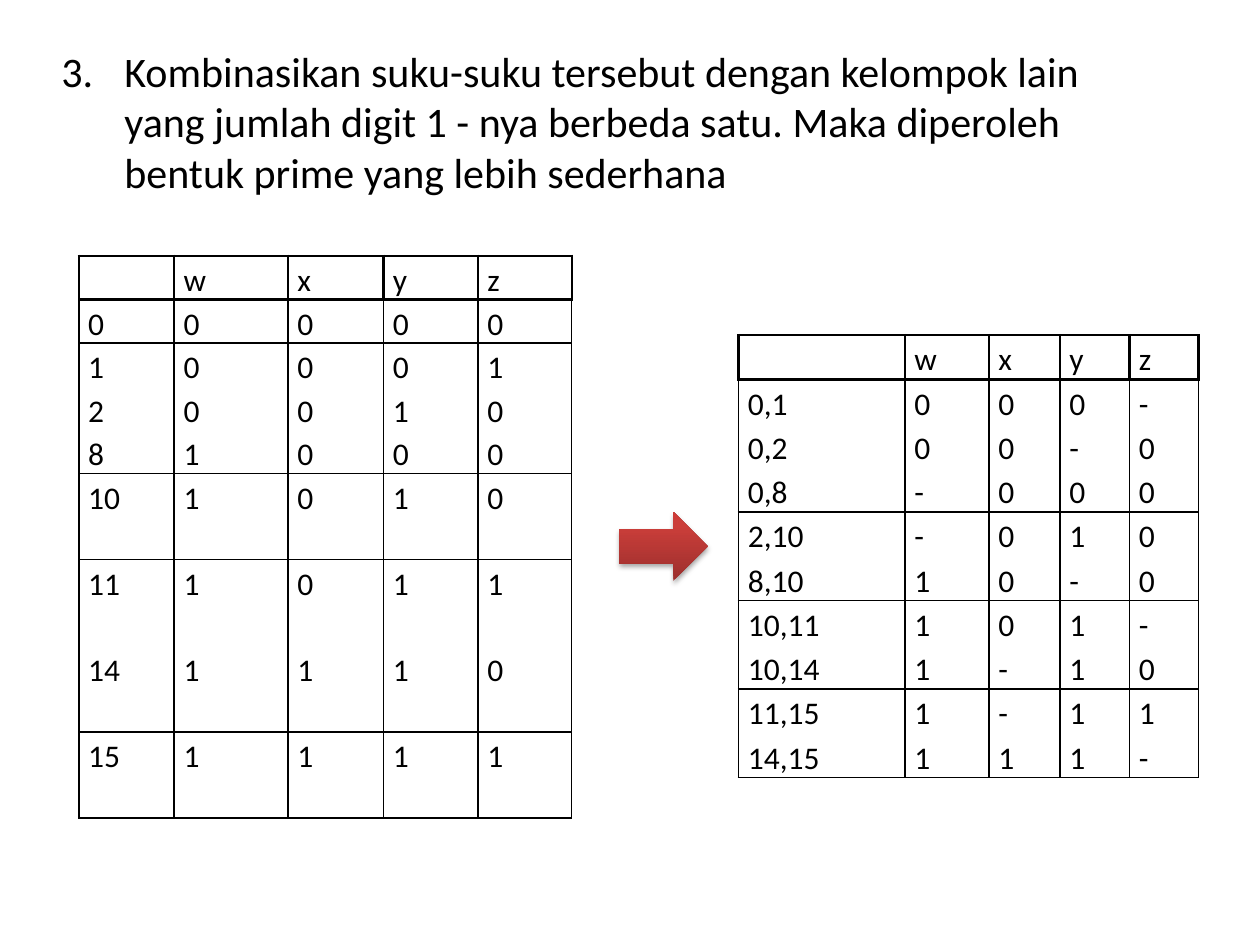
from lxml.etree import SubElement
from pptx import Presentation
from pptx.dml.color import RGBColor
from pptx.enum.shapes import MSO_SHAPE
from pptx.oxml.ns import qn
from pptx.util import Pt

TITLE = (
    "3.\tKombinasikan suku-suku tersebut dengan kelompok lain yang jumlah "
    "digit 1 - nya berbeda satu. Maka diperoleh bentuk prime yang lebih sederhana"
)
VARIABLES = ["", "w", "x", "y", "z"]
# Each inner list is one ruled group; a row is its minterms and its four digits.
MINTERM_GROUPS = [
    [("0", "0000")],
    [("1", "0001"), ("2", "0010"), ("8", "1000")],
    [("10", "1010")],
    [("11", "1011"), ("14", "1110")],
    [("15", "1111")],
]
PRIME_GROUPS = [
    [("0,1", "000-"), ("0,2", "00-0"), ("0,8", "-000")],
    [("2,10", "-010"), ("8,10", "10-0")],
    [("10,11", "101-"), ("10,14", "1-10")],
    [("11,15", "1-11"), ("14,15", "111-")],
]


def color(hex_text):
    return RGBColor.from_string(hex_text)


def add_xml(parent, tag, **attributes):
    return SubElement(parent, qn(tag), {k: str(v) for k, v in attributes.items()})


def write(frame, text, size, ink="000000", font="Calibri", spacing=None):
    paragraph = frame.paragraphs[0]
    if spacing:
        paragraph.line_spacing = spacing
    paragraph.font.size = Pt(size)
    if text:
        run = paragraph.add_run()
        run.text = text
        run.font.size, run.font.name = Pt(size), font
        run.font.color.rgb = color(ink)
    return paragraph


def rule_cell(cell, left, right, top, bottom, ink="000000"):
    """Set the four border widths in points; 0 leaves the side open."""
    properties = cell._tc.get_or_add_tcPr()
    sides = {"a:lnL": left, "a:lnR": right, "a:lnT": top, "a:lnB": bottom}
    for tag, width in sides.items():
        line = add_xml(properties, tag, w=int(Pt(width)))
        if width:
            add_xml(add_xml(line, "a:solidFill"), "a:srgbClr", val=ink)
        else:
            add_xml(line, "a:noFill")


class SlideBuilder:
    title_size = 24
    cell_size = 18
    cell_spacing = 1.15
    header_rule = 1.5
    body_rule = 1

    def __init__(self, slide):
        self.slide = slide

    def title(self, text, left, top, width, height, indent):
        box = self.slide.shapes.add_textbox(Pt(left), Pt(top), Pt(width), Pt(height))
        box.text_frame.word_wrap = True
        paragraph = write(box.text_frame, text, self.title_size)
        properties = paragraph._p.get_or_add_pPr()
        properties.set("marL", str(int(Pt(indent))))
        properties.set("indent", str(int(Pt(-indent))))

    def table(self, groups, left, top, widths, heights):
        graphic = self.slide.shapes.add_table(
            len(heights), len(widths), Pt(left), Pt(top), Pt(sum(widths)), Pt(sum(heights))
        )
        table = graphic.table
        table.first_row = table.horz_banding = False
        for column, width in zip(table.columns, widths):
            column.width = Pt(width)
        for row, height in zip(table.rows, heights):
            row.height = Pt(height)

        self.table_row(table, 0, VARIABLES, *[self.header_rule] * 3)
        index = 1
        for group in groups:
            for place, (minterms, digits) in enumerate(group):
                above = self.header_rule if index == 1 else self.body_rule
                self.table_row(
                    table, index, [minterms, *digits], self.body_rule,
                    above if place == 0 else 0,
                    self.body_rule if place == len(group) - 1 else 0,
                )
                index += 1

    def table_row(self, table, index, texts, side, top, bottom):
        for column, text in enumerate(texts):
            cell = table.cell(index, column)
            cell.margin_left = cell.margin_right = Pt(5.4)
            cell.margin_top = cell.margin_bottom = 0
            write(cell.text_frame, text, self.cell_size, spacing=self.cell_spacing)
            rule_cell(cell, side, side, top, bottom)
            cell.fill.background()

    def arrow(self, left, top, width, height, stops):
        arrow = self.slide.shapes.add_shape(
            MSO_SHAPE.RIGHT_ARROW, Pt(left), Pt(top), Pt(width), Pt(height)
        )
        properties = arrow._element.spPr
        gradient = add_xml(properties, "a:gradFill", rotWithShape=1)
        stop_list = add_xml(gradient, "a:gsLst")
        for percent, shade in stops:
            stop = add_xml(stop_list, "a:gs", pos=percent * 1000)
            add_xml(stop, "a:srgbClr", val=shade)
        add_xml(gradient, "a:lin", ang=270 * 60000, scaled=0)
        arrow.line.fill.background()
        arrow.shadow.inherit = False
        shadow = add_xml(
            properties.find(qn("a:effectLst")), "a:outerShdw", blurRad=int(Pt(3.1)),
            dist=int(Pt(1.8)), dir=90 * 60000, rotWithShape=0,
        )
        add_xml(add_xml(shadow, "a:srgbClr", val="000000"), "a:alpha", val=35000)


def main():
    deck = Presentation()
    deck.slide_width, deck.slide_height = Pt(720), Pt(540)
    builder = SlideBuilder(deck.slides.add_slide(deck.slide_layouts[6]))
    builder.table(PRIME_GROUPS, 422, 191.5, [95.2, 48, 40.5, 39.8, 39.5], [25.25] * 10)
    builder.title(TITLE, 28, 22.5, 636, 117, indent=36)
    builder.table(
        MINTERM_GROUPS, 45, 146.2, [54.5, 65, 54.7, 54, 53.5], [24.8] * 5 + [49.25] * 4
    )
    builder.arrow(354, 292.5, 50.5, 39.5, [(0, "9C2F2D"), (80, "CB3E3A"), (100, "CE3B37")])
    deck.save("out.pptx")


if __name__ == "__main__":
    main()
